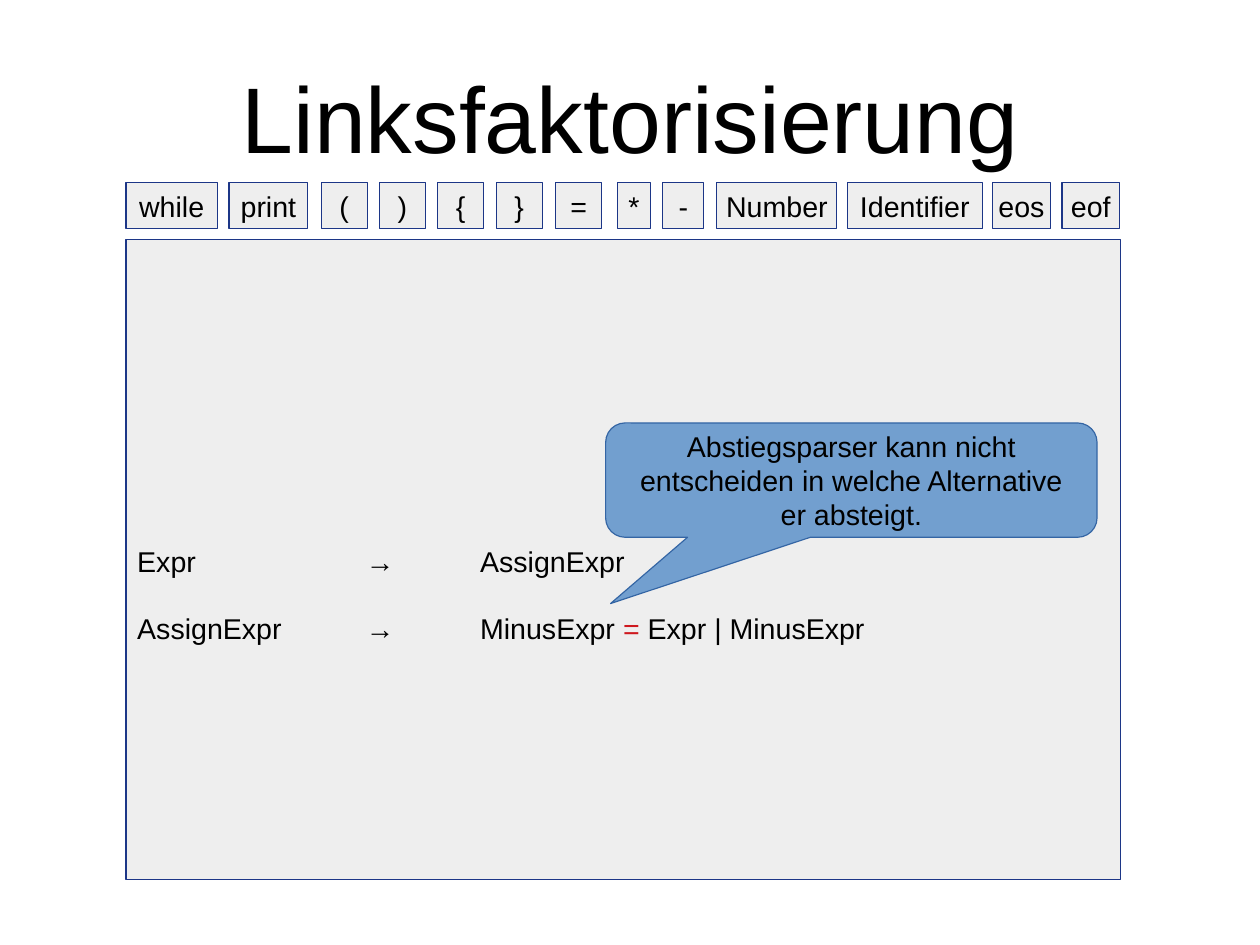
from lxml.etree import SubElement
from pptx import Presentation
from pptx.dml.color import RGBColor
from pptx.enum.shapes import MSO_SHAPE as Kind
from pptx.enum.text import MSO_ANCHOR as Anchor, PP_ALIGN as Align
from pptx.oxml.ns import qn
from pptx.util import Cm, Pt

BLACK = RGBColor(0x00, 0x00, 0x00)
RED = RGBColor(0xCE, 0x18, 0x1E)
GREY = RGBColor(0xEE, 0xEE, 0xEE)
NAVY = RGBColor(0x1C, 0x36, 0x87)
BLUE = RGBColor(0x72, 0x9F, 0xCF)
EDGE = RGBColor(0x34, 0x65, 0xA4)

TOKENS = [
    ("while", 0, 2.03), ("print", 2.29, 1.75), ("(", 4.34, 1.02),
    (")", 5.63, 1.02), ("{", 6.93, 1.02), ("}", 8.23, 1.02),
    ("=", 9.55, 1.02), ("*", 10.92, 0.74), ("-", 11.93, 0.91),
    ("Number", 13.13, 2.67), ("Identifier", 16.03, 3), ("eos", 19.25, 1.3),
    ("eof", 20.8, 1.28),
]
RULES = [
    [("Expr\t\t→\tAssignExpr", BLACK)],
    [("AssignExpr\t→\tMinusExpr ", BLACK), ("=", RED),
     (" Expr | MinusExpr", BLACK)],
]
HINT = [
    "Abstiegsparser kann nicht",
    "entscheiden in welche Alternative",
    "er absteigt.",
]


def style(para, size=18, align=Align.CENTER):
    """Set the font and alignment of a paragraph."""
    para.alignment = align
    para.font.name = "Arial"
    para.font.size = Pt(size)
    para.font.color.rgb = BLACK


def fill_text(frame, lines, size=18):
    """Write centred lines into a text frame."""
    frame.vertical_anchor = Anchor.MIDDLE
    frame.word_wrap = False
    for i, line in enumerate(lines):
        para = frame.add_paragraph() if i else frame.paragraphs[0]
        para.text = line
        style(para, size)


def add_box(slide, kind, box, fill, edge):
    """Add a flat shape with a hairline edge."""
    shape = slide.shapes.add_shape(kind, *map(Cm, box))
    shape.shadow.inherit = False
    shape.fill.solid()
    shape.fill.fore_color.rgb = fill
    shape.line.color.rgb = edge
    shape.line.width = Pt(0)
    return shape


def add_title(slide, box, text):
    """Place the slide title."""
    frame = slide.shapes.add_textbox(*map(Cm, box)).text_frame
    frame.margin_left = frame.margin_right = 0
    frame.margin_top = frame.margin_bottom = 0
    fill_text(frame, [text], 58.7)
    frame.word_wrap = True


def add_tokens(slide, box):
    """Place the row of token boxes."""
    left, top, _, high = box
    for name, shift, wide in TOKENS:
        area = (left + shift, top, wide, high)
        cell = add_box(slide, Kind.RECTANGLE, area, GREY, NAVY)
        fill_text(cell.text_frame, [name])


def add_rules(slide, box):
    """Place the panel with the grammar rules."""
    frame = add_box(slide, Kind.RECTANGLE, box, GREY, NAVY).text_frame
    frame.word_wrap = True
    frame.vertical_anchor = Anchor.TOP
    frame.margin_top = Cm(box[3] / 2 - 0.36)
    for i, rule in enumerate(RULES):
        para = frame.add_paragraph() if i else frame.paragraphs[0]
        style(para, align=Align.LEFT)
        para.space_before = Pt(20.7 * i)
        for text, color in rule:
            run = para.add_run()
            run.text = text
            run.font.color.rgb = color
        props = para._p.get_or_add_pPr()
        tabs = SubElement(props, qn("a:tabLst"))
        props.find(qn("a:defRPr")).addprevious(tabs)
        for stop in (1, 2, 3):
            SubElement(tabs, qn("a:tab"), pos=str(Cm(2.54 * stop)), algn="l")


def add_hint(slide, box):
    """Place the callout."""
    shape = add_box(slide, Kind.ROUNDED_RECTANGULAR_CALLOUT, box, BLUE, EDGE)
    for i, value in enumerate((-0.49, 1.08, 0.17)):
        shape.adjustments[i] = value
    fill_text(shape.text_frame, HINT)


def main():
    """Build and save the slide."""
    deck = Presentation()
    deck.slide_width, deck.slide_height = Cm(28), Cm(21)
    slide = deck.slides.add_slide(deck.slide_layouts[6])
    add_title(slide, (1.4, 0.84, 25.2, 3.5), "Linksfaktorisierung")
    add_rules(slide, (2.8, 5.33, 22.1, 14.22))
    add_tokens(slide, (2.8, 4.06, 22.1, 1.02))
    add_hint(slide, (13.46, 9.4, 10.92, 2.54))
    deck.save("out.pptx")


if __name__ == "__main__":
    main()
